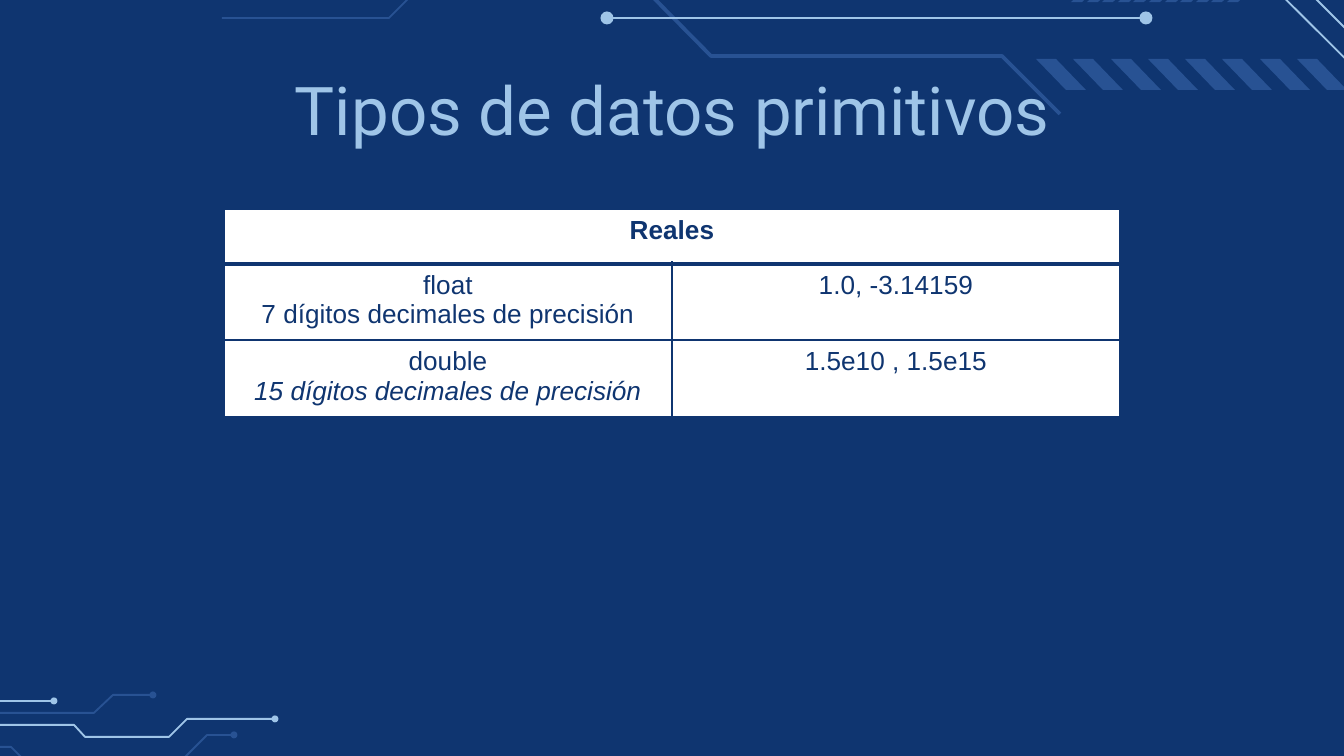
"""Build the slide on primitive real data types."""
from dataclasses import dataclass

from lxml.etree import SubElement
from pptx import Presentation
from pptx.dml.color import RGBColor
from pptx.enum.shapes import MSO_CONNECTOR as Connector, MSO_SHAPE as Shape
from pptx.enum.text import MSO_ANCHOR as Anchor, PP_ALIGN as Align
from pptx.oxml.ns import qn
from pptx.util import Emu, Pt

SLIDE_W, SLIDE_H = 1344, 756
SCALE = 9144000 / SLIDE_W
NAVY, BLUE, SKY, WHITE = "0F3570", "285293", "9FC5E8", "FFFFFF"


@dataclass(frozen=True)
class Trace:
    """A circuit line, with dots of the given size on some of its points."""
    points: tuple
    hue: str
    weight: int = 1
    dots: tuple = ()
    dot_size: int = 7


@dataclass(frozen=True)
class StripeRow:
    """A row of stripes of one outline, spread evenly from first to last."""
    first: int
    last: int
    count: int
    outline: tuple


@dataclass(frozen=True)
class Entry:
    """A paragraph of a table cell."""
    words: str
    bold: bool = False
    italic: bool = False


TRACES = (
    Trace(((557, -122), (660, -122), (767, -14), (947, -14), (1023, -87),
           (1199, -87), (1396, 109)), SKY),
    Trace(((502, -20), (636, -20), (711, 56), (1002, 56), (1060, 114)), BLUE, 2),
    Trace(((222, 18), (389, 18), (458, -51), (583, -51)), BLUE),
    Trace(((607, 18), (1146, 18)), SKY, 1, (0, -1), 13),
    Trace(((1229, -88), (1428, 111)), SKY),
    Trace(((-233, 725), (74, 725), (85, 737), (169, 737), (187, 719), (275, 719)),
          SKY, 1, (-1,)),
    Trace(((-146, 747), (11, 747), (27, 763), (198, 763)), BLUE),
    Trace(((179, 763), (207, 735), (234, 735)), BLUE, 1, (-1,)),
    Trace(((-153, 688), (-128, 713), (94, 713), (113, 695), (153, 695)),
          BLUE, 1, (-1,)),
    Trace(((-105, 701), (54, 701)), SKY, 1, (-1,)),
)
STRIPE_ROWS = (
    StripeRow(1036, 1297, 8, ((0, 59), (20, 59), (50, 90), (30, 90))),
    StripeRow(1071, 1227, 11, ((0, 2), (16, -12), (2, -26), (12, -26),
                               (26, -12), (11, 2))),
)
TABLE_HEIGHT = 207
ROW_HEIGHTS = (55, 55, 38)
COLUMN_WIDTH = 448
REALS = (
    ((Entry("Reales", bold=True),), ()),
    ((Entry("float"), Entry("7 dígitos decimales de precisión")),
     (Entry("1.0, -3.14159"),)),
    ((Entry("double"), Entry("15 dígitos decimales de precisión", italic=True)),
     (Entry("1.5e10 , 1.5e15"),)),
)


def px(length: int) -> Emu:
    """Turn px into EMU."""
    return Emu(round(length * SCALE))


def color(code: str) -> RGBColor:
    """Turn a hex string into a colour."""
    return RGBColor.from_string(code)


def paint(fill, code: str) -> None:
    """Make a fill solid in one colour."""
    fill.solid()
    fill.fore_color.rgb = color(code)


def draw_outline(slide, points: tuple, closed: bool):
    """Add a freeform through the points."""
    builder = slide.shapes.build_freeform(*points[0], scale=SCALE)
    builder.add_line_segments(points[1:], close=closed)
    return builder.convert_to_shape()


def draw_trace(slide, trace: Trace) -> None:
    """Draw a circuit line and its dots."""
    if len(trace.points) == 2:
        ends = [px(value) for point in trace.points for value in point]
        wire = slide.shapes.add_connector(Connector.STRAIGHT, *ends)
    else:
        wire = draw_outline(slide, trace.points, False)
        wire.fill.background()
    wire.line.color.rgb = color(trace.hue)
    wire.line.width = Pt(trace.weight)
    SubElement(wire._element.spPr, qn("a:effectLst"))
    size = trace.dot_size
    for index in trace.dots:
        x, y = trace.points[index]
        dot = slide.shapes.add_shape(Shape.OVAL, px(x - size / 2), px(y - size / 2),
                                     px(size), px(size))
        dot.shadow.inherit = False
        paint(dot.fill, trace.hue)
        dot.line.fill.background()


def draw_stripes(slide, row: StripeRow) -> None:
    """Draw a row of stripes."""
    for index in range(row.count):
        left = row.first + round((row.last - row.first) * index / (row.count - 1))
        stripe = draw_outline(slide, tuple((left + x, y) for x, y in row.outline), True)
        stripe.shadow.inherit = False
        paint(stripe.fill, BLUE)
        stripe.line.fill.background()


def draw_title(slide, words: str) -> None:
    """Write the centred slide title."""
    title = slide.shapes.add_textbox(px(106), px(68), px(1133), px(71))
    frame = title.text_frame
    frame.word_wrap = True
    frame.vertical_anchor = Anchor.TOP
    frame.margin_left = frame.margin_right = frame.margin_top = frame.margin_bottom = 0
    frame.text = words
    frame.paragraphs[0].alignment = Align.CENTER
    font = frame.paragraphs[0].runs[0].font
    font.name, font.size, font.color.rgb = "Roboto", Pt(36), color(SKY)


def border_cell(cell, bottom: int) -> None:
    """Give a cell navy borders, the bottom one of its own weight."""
    properties = cell._tc.get_or_add_tcPr()
    weights = {"a:lnL": 1, "a:lnR": 1, "a:lnT": 1, "a:lnB": bottom}
    for position, (side, weight) in enumerate(weights.items()):
        edge = SubElement(properties, qn(side), w=str(Pt(weight)))
        SubElement(SubElement(edge, qn("a:solidFill")), qn("a:srgbClr"), val=NAVY)
        properties.insert(position, edge)


def fill_cell(cell, entries: tuple, bottom: int) -> None:
    """Write, fill and border a table cell."""
    cell.text_frame.text = "\n".join(entry.words for entry in entries)
    for paragraph, entry in zip(cell.text_frame.paragraphs, entries):
        paragraph.alignment = Align.CENTER
        font = paragraph.runs[0].font
        font.name, font.size, font.color.rgb = "Arial", Pt(14), color(NAVY)
        font.bold, font.italic = entry.bold, entry.italic
    paint(cell.fill, WHITE)
    border_cell(cell, bottom)


def draw_reals(slide) -> None:
    """Draw the table of real types."""
    reals = slide.shapes.add_table(len(REALS), 2, px(224), px(209), px(2 * COLUMN_WIDTH),
                                   px(TABLE_HEIGHT))
    table = reals.table
    table.first_row = table.horz_banding = False
    for column in table.columns:
        column.width = px(COLUMN_WIDTH)
    for row, height in zip(table.rows, ROW_HEIGHTS):
        row.height = px(height)
    reals.height = px(TABLE_HEIGHT)
    table.cell(0, 0).merge(table.cell(0, 1))
    for r, row in enumerate(REALS):
        for c, entries in enumerate(row):
            fill_cell(table.cell(r, c), entries, 1 if r else 3)


def main() -> None:
    """Build and save the slide."""
    deck = Presentation()
    deck.slide_width, deck.slide_height = px(SLIDE_W), px(SLIDE_H)
    slide = deck.slides.add_slide(deck.slide_layouts[6])
    paint(slide.background.fill, NAVY)
    for trace in TRACES:
        draw_trace(slide, trace)
    for row in STRIPE_ROWS:
        draw_stripes(slide, row)
    draw_title(slide, "Tipos de datos primitivos")
    draw_reals(slide)
    deck.save("out.pptx")


if __name__ == "__main__":
    main()
